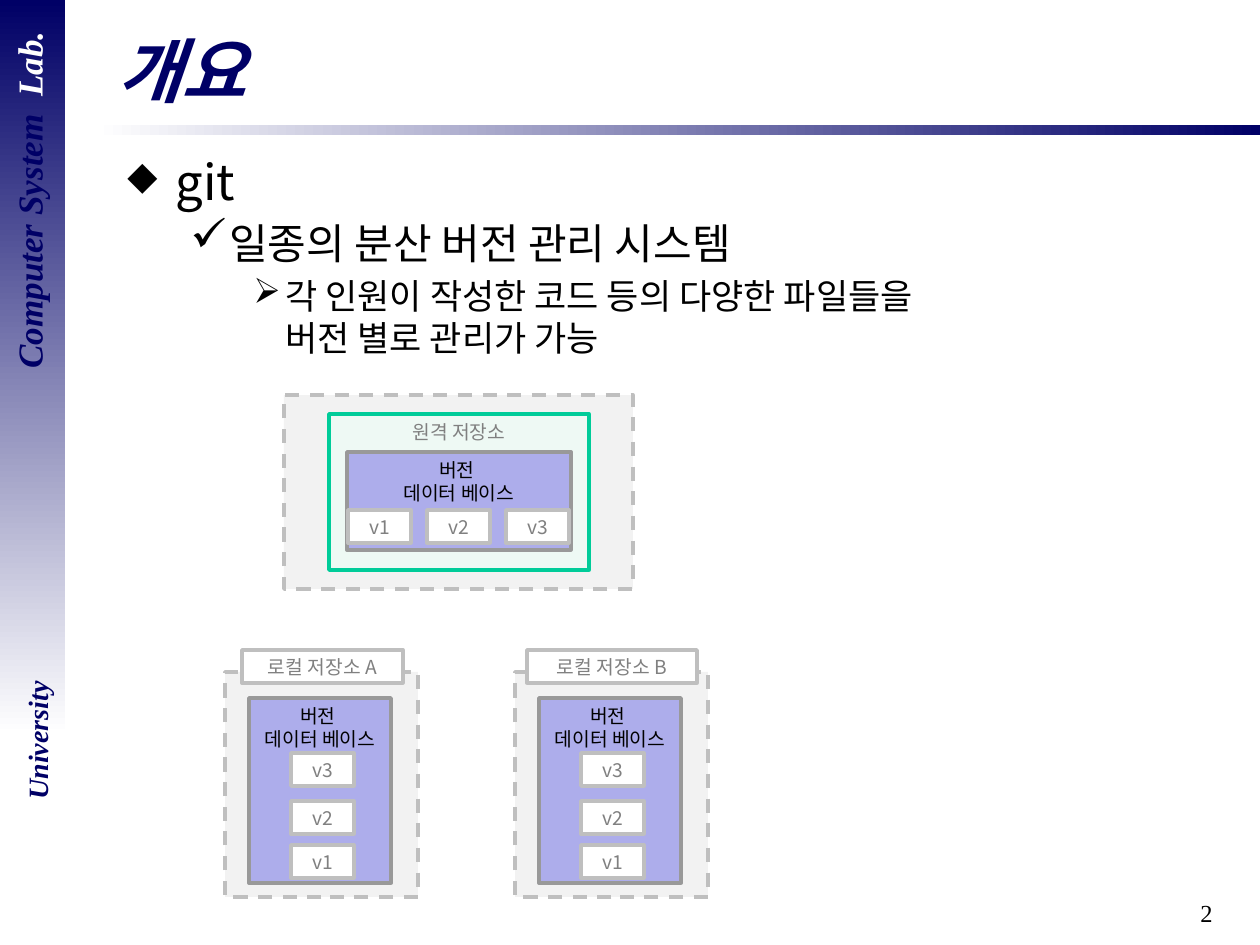
from dataclasses import dataclass
from typing import Optional

import pptx
import pptx.dml.color
import pptx.enum.dml
import pptx.enum.shapes
import pptx.enum.text
import pptx.oxml.ns
import pptx.util
from lxml import etree

Color = pptx.dml.color.RGBColor
Align = pptx.enum.text.PP_ALIGN
Anchor = pptx.enum.text.MSO_ANCHOR
RECT = pptx.enum.shapes.MSO_SHAPE.RECTANGLE
DASH = pptx.enum.dml.MSO_LINE.DASH
NAVY = Color(0x00, 0x00, 0x66)
WHITE = Color(0xFF, 0xFF, 0xFF)
BLACK = Color(0x00, 0x00, 0x00)
GRAY = Color(0x80, 0x80, 0x80)
SILVER = Color(0xBF, 0xBF, 0xBF)
STEEL = Color(0x99, 0x99, 0x99)
PALE = Color(0xF2, 0xF2, 0xF2)
MINT = Color(0xEE, 0xF9, 0xF4)
GREEN = Color(0x00, 0xCC, 0x99)
LILAC = Color(0xAD, 0xAD, 0xEB)
SANS = "Noto Sans CJK KR"
SERIF = "Times New Roman"
SCALE = 914400 / 126


@dataclass(frozen=True)
class Rect:
    left: int
    top: int
    width: int
    height: int


@dataclass(frozen=True)
class Style:
    fill: Color
    line: Color
    ink: Color = GRAY
    anchor: Anchor = Anchor.MIDDLE
    dash: bool = False


@dataclass(frozen=True)
class Point:
    text: str
    size: int
    mark: str
    percent: int
    left: int
    hang: int


ZONE = Style(PALE, SILVER, dash=True)
REMOTE = Style(MINT, GREEN, anchor=Anchor.TOP)
STORE = Style(LILAC, STEEL, BLACK, Anchor.TOP)
CHIP = Style(WHITE, SILVER)
STORE_TEXT = "버전 \v데이터 베이스"

POINTS = [
    Point("git", 28, "◆", 80, 48, 48),
    Point("일종의 분산 버전 관리 시스템", 24, "✓", 110, 102, 39),
    Point("각 인원이 작성한 코드 등의 다양한 파일들을 \v버전 별로 관리가 가능",
          20, "➢", 100, 158, 32),
]


def px(count: int) -> int:
    return round(count * SCALE)


def place(rect: Rect) -> list[int]:
    return [px(rect.left), px(rect.top), px(rect.width), px(rect.height)]


def paint(run, size: int, ink: Color, face: str, slant: bool = False) -> None:
    font = run.font
    font.size = pptx.util.Pt(size)
    font.bold = font.italic = slant
    font.color.rgb = ink
    font.name = face
    east = etree.SubElement(font._element, pptx.oxml.ns.qn("a:ea"))
    east.set("typeface", face)


def band(slide, rect: Rect, start: Color, end: Color, angle: int) -> None:
    shape = slide.shapes.add_shape(RECT, *place(rect))
    shape.shadow.inherit = False
    shape.line.fill.background()
    shape.fill.gradient()
    shape.fill.gradient_angle = angle
    for stop, color, spot in zip(shape.fill.gradient_stops, (start, end), (0, 1)):
        stop.color.rgb = color
        stop.position = spot


def label(slide, rect: Rect, parts: list[tuple[str, Color]], size: int,
          align: Align, turn: int = 0) -> None:
    box = slide.shapes.add_textbox(*place(rect))
    box.rotation = turn
    box.text_frame.word_wrap = True
    para = box.text_frame.paragraphs[0]
    para.alignment = align
    for text, ink in parts:
        run = para.add_run()
        run.text = text
        paint(run, size, ink, SERIF, turn != 0)


def block(slide, rect: Rect, style: Style, text: Optional[str] = None) -> None:
    shape = slide.shapes.add_shape(RECT, *place(rect))
    shape.shadow.inherit = False
    shape.fill.solid()
    shape.fill.fore_color.rgb = style.fill
    shape.line.color.rgb = style.line
    shape.line.width = pptx.util.Pt(2)
    if style.dash:
        shape.line.dash_style = DASH
    if text:
        frame = shape.text_frame
        frame.margin_left = frame.margin_right = 0
        frame.vertical_anchor = style.anchor
        para = frame.paragraphs[0]
        para.text = text
        para.alignment = Align.CENTER
        for run in para.runs:
            paint(run, 11, style.ink, SANS)


def bullet(para, point: Point) -> None:
    props = para._p.get_or_add_pPr()
    props.set("marL", str(px(point.left)))
    props.set("indent", str(-px(point.hang)))
    size = etree.SubElement(props, pptx.oxml.ns.qn("a:buSzPct"))
    size.set("val", str(point.percent * 1000))
    mark = etree.SubElement(props, pptx.oxml.ns.qn("a:buChar"))
    mark.set("char", point.mark)


def body(slide, rect: Rect) -> None:
    frame = slide.shapes.add_textbox(*place(rect)).text_frame
    frame.word_wrap = True
    for level, point in enumerate(POINTS):
        para = frame.add_paragraph() if level else frame.paragraphs[0]
        para.text = point.text
        para.level = level
        bullet(para, point)
        if level:
            para.space_before = pptx.util.Pt(point.size // 5)
        for run in para.runs:
            paint(run, point.size, BLACK, SANS)


def remote(slide) -> None:
    block(slide, Rect(284, 395, 349, 194), ZONE)
    block(slide, Rect(329, 414, 260, 156), REMOTE, "원격 저장소")
    block(slide, Rect(347, 452, 224, 98), STORE, STORE_TEXT)
    for step in range(3):
        block(slide, Rect(348 + 79 * step, 510, 63, 33), CHIP, f"v{step + 1}")


def local(slide, left: int, name: str, width: int) -> None:
    block(slide, Rect(left, 672, 193, 225), ZONE)
    block(slide, Rect(left + 97 - width // 2, 650, width, 33), CHIP,
          f"로컬 저장소 {name}")
    block(slide, Rect(left + 24, 698, 142, 185), STORE, STORE_TEXT)
    for text, top in (("v3", 753), ("v2", 801), ("v1", 845)):
        block(slide, Rect(left + 66, top, 63, 33), CHIP, text)


def main() -> None:
    deck = pptx.Presentation()
    deck.slide_width, deck.slide_height = px(1260), px(945)
    slide = deck.slides.add_slide(deck.slide_layouts[5])

    band(slide, Rect(95, 125, 1165, 10), WHITE, NAVY, 0)
    band(slide, Rect(0, 0, 65, 735), NAVY, WHITE, 270)
    label(slide, Rect(963, 892, 262, 53), [("2", BLACK)], 14, Align.RIGHT)
    label(slide, Rect(-165, 173, 387, 54),
          [("Computer System  ", NAVY), ("Lab.", WHITE)], 20, Align.CENTER, 270)
    label(slide, Rect(-52, 717, 179, 47), [("University", NAVY)],
          16, Align.CENTER, 270)

    title = slide.shapes.title
    title.left, title.top, title.width, title.height = place(Rect(105, 21, 1121, 97))
    title.text_frame.text = "개요"
    title.text_frame.vertical_anchor = Anchor.MIDDLE
    para = title.text_frame.paragraphs[0]
    para.alignment = Align.LEFT
    paint(para.runs[0], 40, NAVY, SANS, True)

    body(slide, Rect(115, 145, 1101, 727))
    remote(slide)
    local(slide, 225, "A", 161)
    local(slide, 515, "B", 170)
    deck.save("out.pptx")


if __name__ == "__main__":
    main()
